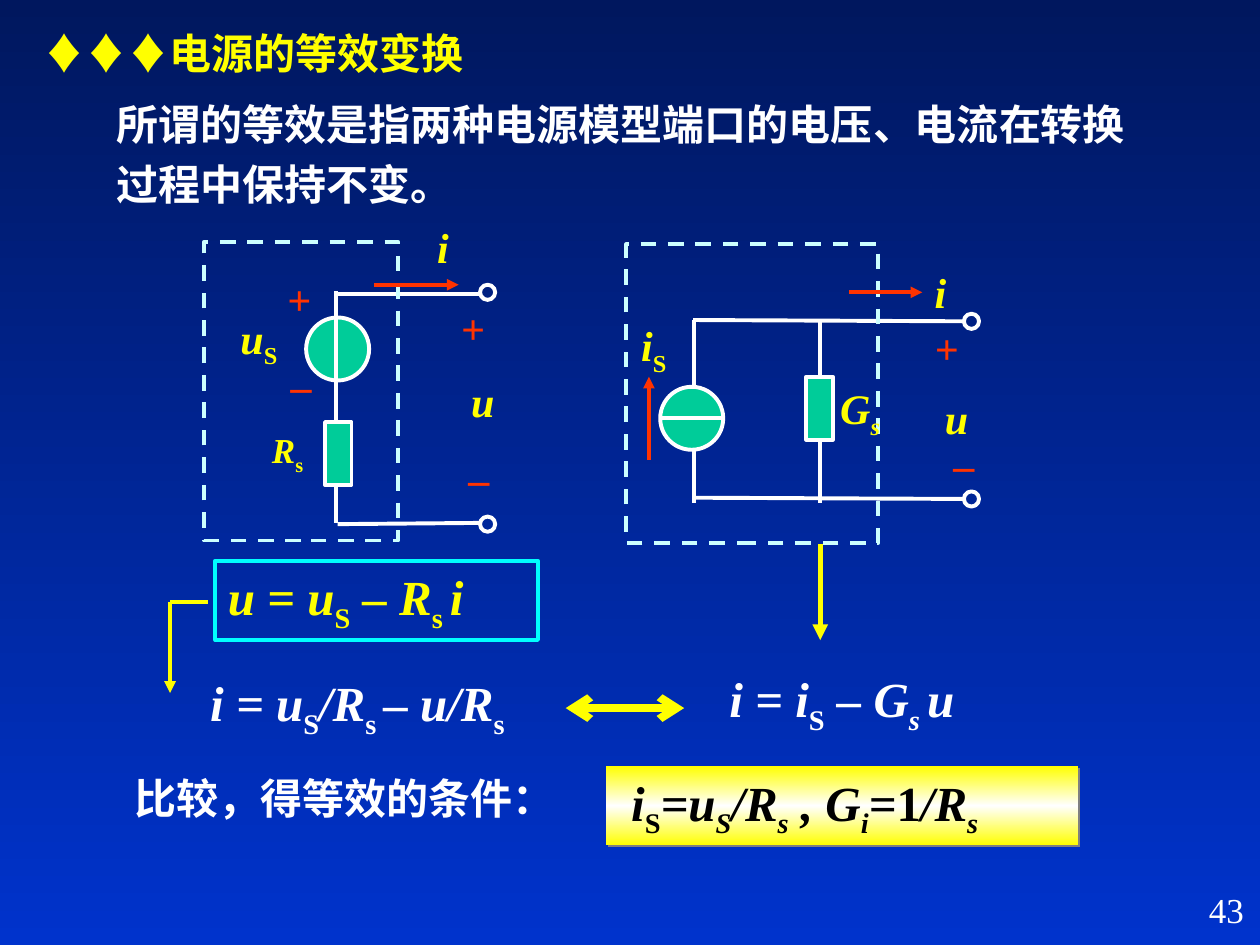
from copy import deepcopy
from lxml.etree import SubElement
from pptx import Presentation
from pptx.dml.color import RGBColor
from pptx.enum.dml import MSO_LINE
from pptx.enum.shapes import MSO_CONNECTOR, MSO_SHAPE as SHAPE
from pptx.enum.text import MSO_ANCHOR as ANCHOR, PP_ALIGN as ALIGN
from pptx.oxml.ns import qn
from pptx.util import Inches, Pt

rgb = RGBColor.from_string
WHITE, YELLOW, RED = "FFFFFF", "FFFF00", "FF3300"
GREEN, PALE, CYAN = "00CC99", "CCFFFF", "00FFFF"
SERIF, CJK = "Times New Roman", "Noto Sans CJK SC"

prs = Presentation()
prs.slide_width, prs.slide_height = Inches(10), Inches(7.5)
U = prs.slide_width / 100  # the grid has 100 columns and 75 rows
s = prs.slides.add_slide(prs.slide_layouts[6])


def write(box, runs, size=24, color=YELLOW, bold=True, italic=True,
          font=SERIF, align=ALIGN.LEFT):
    """Put (text, marks) runs on a new or given box; marks: _ subscript, n upright."""
    if isinstance(box, tuple):
        box = s.shapes.add_textbox(*[round(v * U) for v in box])
    tf = box.text_frame
    tf.word_wrap = True
    tf.vertical_anchor = ANCHOR.TOP
    p = tf.paragraphs[0]
    p.alignment = align
    f = p.font
    f.name, f.size, f.bold, f.italic = font, Pt(size), bold, italic
    f.color.rgb = rgb(color)
    SubElement(f._rPr, qn("a:ea"), typeface=CJK)
    for text, marks in runs:
        r = p.add_run()
        r.text = text
        if "n" in marks:
            r.font.italic = False
        if "_" in marks:
            r.font._rPr.set("baseline", "-25000")
    return box


def draw_line(x1, y1, x2, y2, color=WHITE, width=2.25, head=None, tail=None):
    c = s.shapes.add_connector(MSO_CONNECTOR.STRAIGHT,
                               *[round(v * U) for v in (x1, y1, x2, y2)])
    c.line.color.rgb, c.line.width = rgb(color), Pt(width)
    ln = c.line._ln
    for end, kind in (("a:headEnd", head), ("a:tailEnd", tail)):
        if kind:
            SubElement(ln, qn(end), type=kind)
    SubElement(c._element.spPr, qn("a:effectLst"))


# Outlines and symbols: preset, place, fill, line, dashed
symbols = {
    "equation frame": (SHAPE.RECTANGLE, (17.1, 44.5, 25.6, 6.3), None, CYAN, False),
    "result frame": (SHAPE.RECTANGLE, (48.1, 60.8, 37.5, 6.3), YELLOW, None, False),
    "voltage source": (SHAPE.OVAL, (24.3, 25.2, 5, 5), GREEN, WHITE, False),
    "wires": None,
    "current source": (SHAPE.OVAL, (52.4, 30.7, 5, 5), GREEN, WHITE, False),
    "resistor": (SHAPE.RECTANGLE, (25.8, 33.5, 2.1, 5), GREEN, WHITE, False),
    "conductance": (SHAPE.RECTANGLE, (64, 29.9, 2.1, 5), GREEN, WHITE, False),
    "left model": (SHAPE.RECTANGLE, (16.2, 19.2, 15.4, 23.7), None, PALE, True),
    "right model": (SHAPE.RECTANGLE, (49.7, 19.4, 20, 23.7), None, PALE, True),
}
for x, y in ((38.1, 22.6), (38.1, 41), (76.5, 24.9), (76.5, 39)):
    symbols[f"terminal {x} {y}"] = (SHAPE.OVAL, (x, y, 1.2, 1.2), None, WHITE, False)

wires = [
    (26.7, 23.1, 26.7, 41.5), (26.6, 23.3, 38.1, 23.3), (26.8, 41.6, 38.1, 41.5),
    (55, 25.4, 76.5, 25.5), (55, 39.5, 76.5, 39.6),
    (55.1, 25.4, 55.1, 39.9), (65.1, 25.4, 65.1, 39.9),
]

placed = {}
for name, symbol in symbols.items():
    if symbol is None:
        for wire in wires:
            draw_line(*wire)
        continue
    preset, place, fill, line, dashed = symbol
    sp = s.shapes.add_shape(preset, *[round(v * U) for v in place])
    sp.shadow.inherit = False
    if fill:
        sp.fill.solid()
        sp.fill.fore_color.rgb = rgb(fill)
    else:
        sp.fill.background()
    if line:
        sp.line.color.rgb, sp.line.width = rgb(line), Pt(2.25)
    else:
        sp.line.fill.background()
    if dashed:
        sp.line.dash_style = MSO_LINE.DASH
    placed[name] = sp
draw_line(52.4, 33.2, 57.4, 33.2)

# Vertical gradients of the slide and the result frame
result = placed["result frame"]
for fill, colors in ((s.background.fill, ("00175E", "0033CC")),
                     (result.fill, (YELLOW, WHITE, YELLOW))):
    fill.gradient()
    fill.gradient_angle = 270
    for _ in colors[2:]:
        first = fill.gradient_stops[0]._gs
        first.addnext(deepcopy(first))
    for i, (stop, color) in enumerate(zip(fill.gradient_stops, colors)):
        stop.position = i / (len(colors) - 1)
        stop.color.rgb = rgb(color)
effects = result._element.spPr.find(qn("a:effectLst"))
shadow = SubElement(effects, qn("a:outerShdw"), dist=str(Pt(1.4)), dir="2700000",
                    algn="ctr", rotWithShape="0")
SubElement(shadow, qn("a:srgbClr"), val="808080")

# Current arrows and links between the equations
for x1, y1, x2, y2 in ((29.7, 22.6, 36.4, 22.6), (67.4, 23.2, 73.2, 23.2),
                       (51.5, 36.5, 51.5, 29.9)):
    draw_line(x1, y1, x2, y2, RED, tail="triangle")
draw_line(13.5, 47.8, 13.5, 55, YELLOW, tail="triangle")
draw_line(13.5, 47.8, 16.5, 47.8, YELLOW)
draw_line(65.1, 43.2, 65.1, 50.8, YELLOW, 3, tail="triangle")
draw_line(44.9, 56.2, 54.3, 56.2, YELLOW, 4.5, "arrow", "arrow")

# Headings and running text
title = write((2.5, 1.7, 43.2, 5), [("♦♦♦", ""), ("电源的等效变换", "")], italic=False)
title.text_frame.paragraphs[0].runs[0].font.name = "Arial"
intro = write((8.3, 6.5, 82.5, 10.6),
              [("所谓的等效是指两种电源模型端口的电压、电流在转换过程中保持不变。", "")],
              color=WHITE, italic=False)
intro.text_frame.paragraphs[0].line_spacing = 1.2
write((9.7, 60.8, 41.7, 5), [("比较，得等效的条件：", "")],
      color=WHITE, italic=False, font=CJK)
write((78.9, 70, 20.8, 5), [("43", "")], 20, WHITE, False, False, align=ALIGN.RIGHT)

# Equations
write(placed["equation frame"],
      [("u = u", ""), ("S", "n_"), (" – R", ""), ("s ", "n_"), ("i", "")], 28)
write((56.9, 52.6, 23.9, 6.3),
      [("i = i", ""), ("S", "n_"), (" – G", ""), ("s ", "_"), ("u", "")], 28, WHITE)
write((15.7, 52.9, 30.8, 6.3),
      [("i = u", ""), ("S", "n_"), ("/R", ""), ("s ", "n_"), ("– u/R", ""), ("s", "n_")],
      28, WHITE)
write(result,
      [("i", ""), ("S", "n_"), ("=u", ""), ("S", "_"), ("/R", ""), ("s", "_"),
       (" , G", ""), ("i", "_"), ("=", ""), ("1", "n"), ("/R", ""), ("s", "_")],
      28, "000000")
result.text_frame.margin_left = round(2 * U)

# Circuit labels: left, top, letter, subscript, subscript marks, size
for x, y, letter, sub, marks, size in (
        (33.7, 17.1, "i", "", "", 24), (18.1, 24.3, "u", "S", "n_", 24),
        (20.6, 33.5, "R", "s", "n_", 20), (36.4, 29.3, "u", "", "", 24),
        (73.2, 20.7, "i", "", "", 24), (49.9, 24.9, "i", "S", "n_", 24),
        (65.7, 29.9, "G", "s", "_", 24), (74, 30.7, "u", "", "", 24)):
    runs = [(letter, "")] + ([(sub, marks)] if sub else [])
    write((x, y, 5.8, 5), runs, size)
for x, y, sign in ((21.8, 21.2, "+"), (22.3, 26.9, "_"), (35.6, 23.5, "+"),
                   (36.4, 34.3, "_"), (73.2, 25.1, "+"), (74.9, 33.2, "_")):
    write((x, y, 5, 5), [(sign, "")], color=RED)

prs.save("out.pptx")
